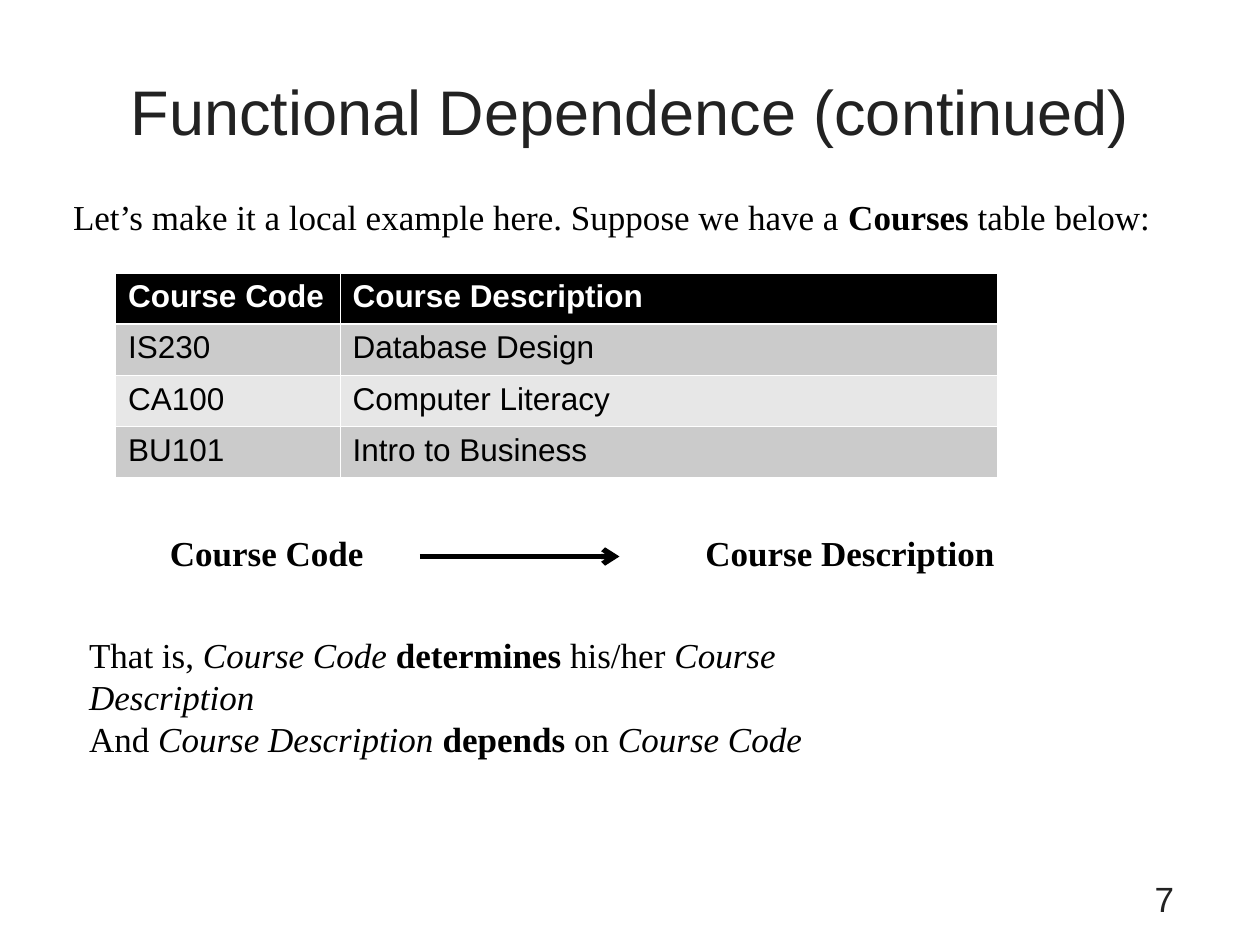
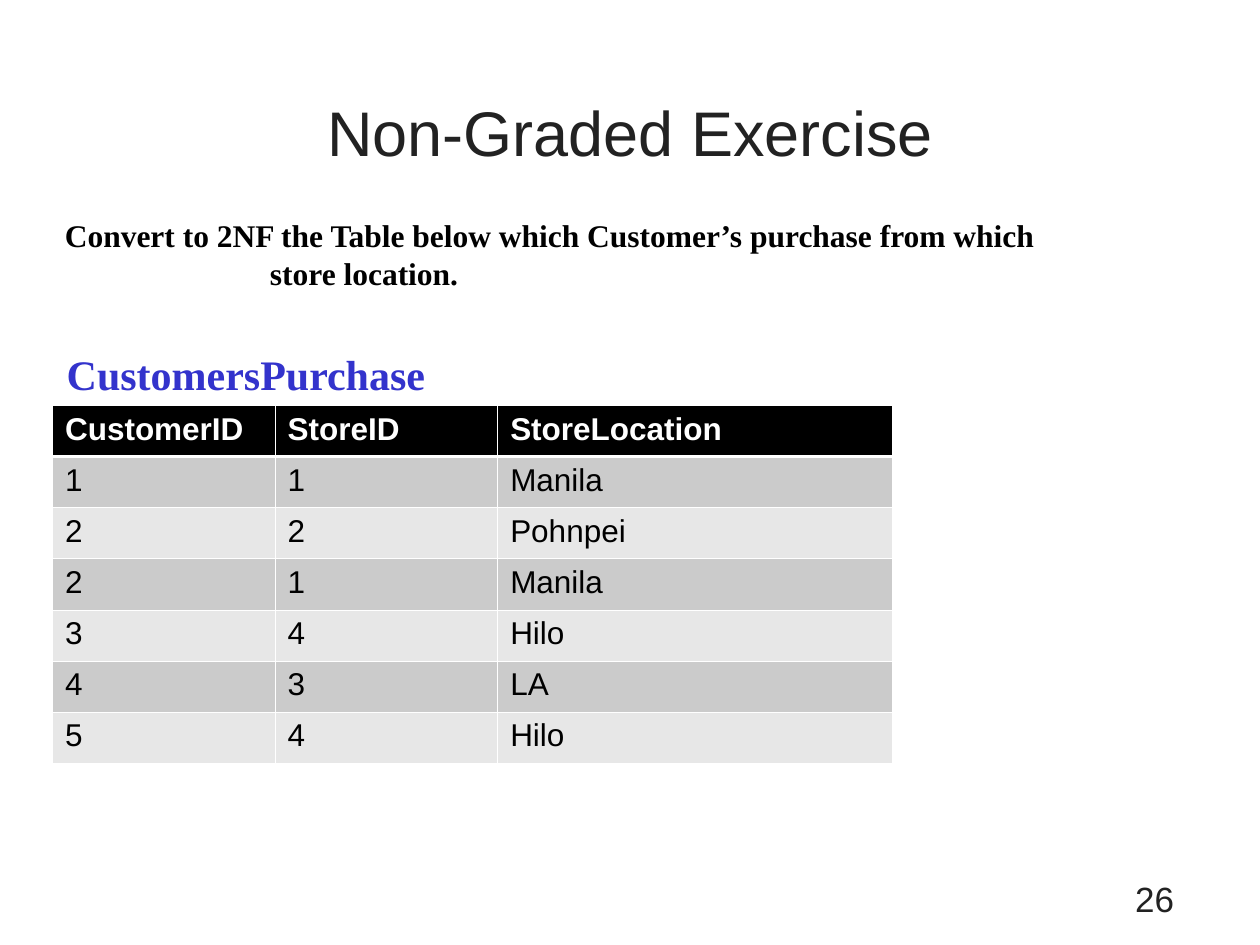
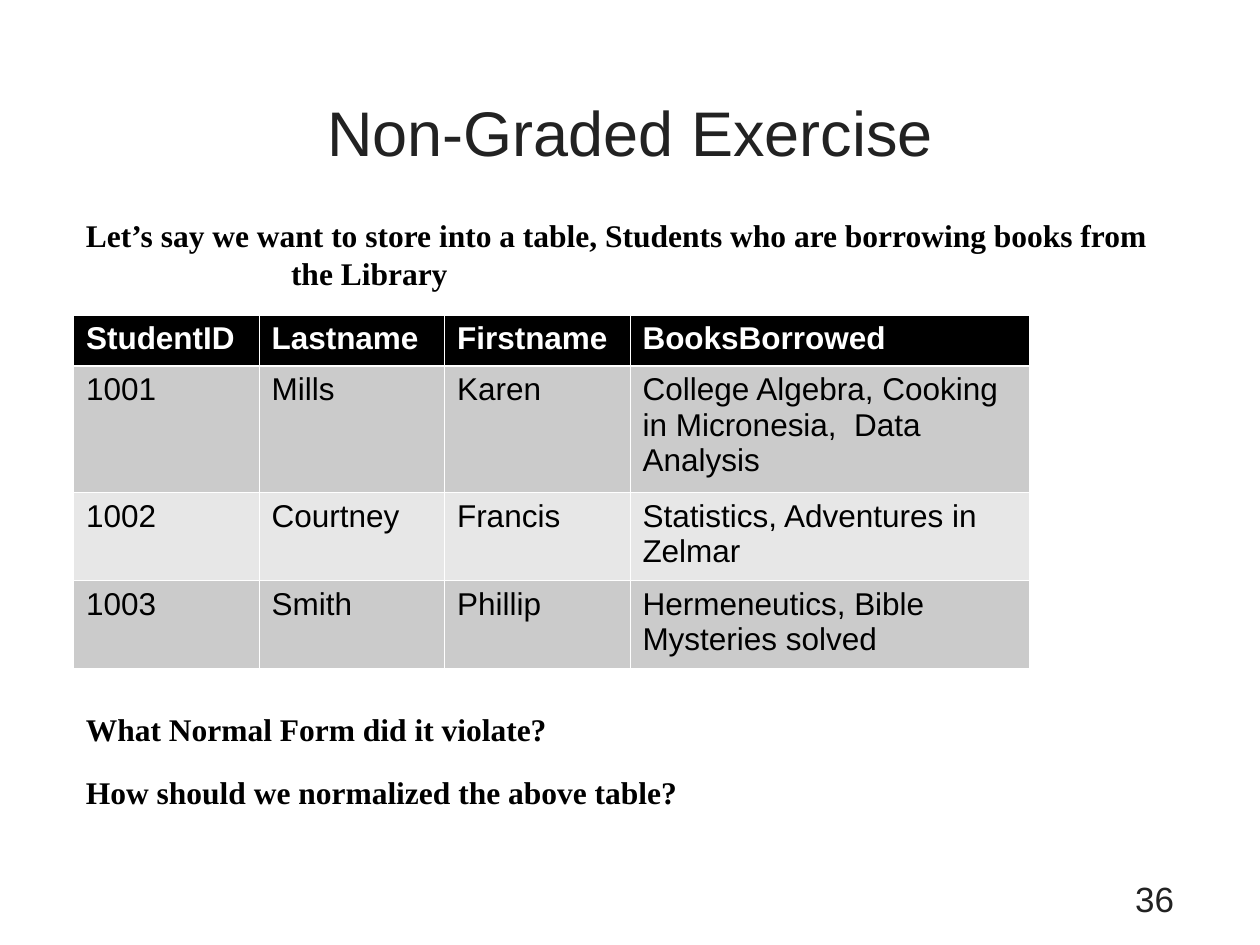
from collections import namedtuple
from dataclasses import dataclass

from lxml.etree import SubElement
from pptx import Presentation
from pptx.dml.color import RGBColor
from pptx.enum.shapes import MSO_CONNECTOR
from pptx.enum.text import MSO_ANCHOR, MSO_AUTO_SIZE, PP_ALIGN
from pptx.oxml.ns import qn
from pptx.util import Pt

Box = namedtuple("Box", "x y w h")


@dataclass(frozen=True)
class Theme:
    """Colours, fonts and type sizes of the deck."""

    sans: str = "Arial"
    serif: str = "Times New Roman"
    heading: str = "222222"
    ink: str = "000000"
    paper: str = "FFFFFF"
    accent: str = "3333CC"
    bands: tuple = ("CBCBCB", "E7E7E7")
    title: float = 36
    caption: float = 24
    text: float = 20
    small: float = 18
    hang: float = 117.2
    space_before: float = 11.2
    row: float = 29.2
    thin: float = 0.45
    thick: float = 1.47


T = Theme()


def lengths(box):
    """Turn a box in points into the four lengths of a shape."""
    return [Pt(v) for v in box]


def style_font(font, face, size, color, bold=False, italic=False):
    """Format one font."""
    font.name, font.size = face, Pt(size)
    font.bold, font.italic = bold, italic
    font.color.rgb = RGBColor.from_string(color)


def add_text(s, box, runs, size=T.text, color=T.ink, face=T.serif,
             align=PP_ALIGN.LEFT, wrap=True, hang=False):
    """Add a one-paragraph text box from (text, style letters) pairs."""
    tf = s.shapes.add_textbox(*lengths(box)).text_frame
    tf.word_wrap = wrap
    tf.auto_size = MSO_AUTO_SIZE.SHAPE_TO_FIT_TEXT
    p = tf.paragraphs[0]
    p.alignment = align
    if hang:
        p.space_before = Pt(T.space_before)
        pPr = p._p.get_or_add_pPr()
        pPr.set("marL", str(Pt(T.hang)))
        pPr.set("indent", str(-Pt(T.hang)))
    for text, marks in runs:
        r = p.add_run()
        r.text = text
        style_font(r.font, face, size, color, "b" in marks, "i" in marks)


def add_prompt(s, box, text):
    """Add a bold exercise line with a hanging indent."""
    add_text(s, box, [(text, "b")], T.small, hang=True)


def add_slide(prs, title, top, number):
    """Add a slide with its title and page number."""
    s = prs.slides.add_slide(prs.slide_layouts[5])
    sp = s.shapes.title
    sp.left, sp.top, sp.width, sp.height = lengths(Box(42, top, 636, 90))
    tf = sp.text_frame
    tf.text = title
    tf.auto_size = MSO_AUTO_SIZE.NONE
    tf.vertical_anchor = MSO_ANCHOR.MIDDLE
    p = tf.paragraphs[0]
    p.alignment = PP_ALIGN.CENTER
    style_font(p.runs[0].font, T.sans, T.title, T.heading)
    add_text(s, Box(516, 498, 162, 30), [(str(number), "")],
             color=T.heading, face=T.sans, align=PP_ALIGN.RIGHT)
    return s


def add_border(cell, side, width):
    """Draw one white edge of a cell."""
    ln = SubElement(cell._tc.get_or_add_tcPr(), qn("a:ln" + side), w=str(Pt(width)))
    fill = SubElement(ln, qn("a:solidFill"))
    SubElement(fill, qn("a:srgbClr"), val=T.paper)


def style_cell(cell, text, row):
    """Fill, border and write one cell by its row."""
    heavy = {(0, "B"), (1, "T")}
    for side in "LRTB":
        add_border(cell, side, T.thick if (row, side) in heavy else T.thin)
    header = row == 0
    fill = T.ink if header else T.bands[(row - 1) % 2]
    cell.fill.solid()
    cell.fill.fore_color.rgb = RGBColor.from_string(fill)
    cell.text = text
    style_font(cell.text_frame.paragraphs[0].runs[0].font, T.sans, T.small,
               T.paper if header else T.ink, bold=header)


def add_grid(s, x, y, widths, rows, heights=None):
    """Add a banded table with a black header row."""
    heights = heights or [T.row] * len(rows)
    box = Box(x, y, sum(widths), sum(heights))
    table = s.shapes.add_table(len(rows), len(widths), *lengths(box)).table
    for column, width in zip(table.columns, widths):
        column.width = Pt(width)
    for i, (values, height) in enumerate(zip(rows, heights)):
        table.rows[i].height = Pt(height)
        for j, text in enumerate(values):
            style_cell(table.cell(i, j), text, i)


def add_arrow(s, x, y, length):
    """Draw a horizontal arrow to the right."""
    ends = lengths((x, y, x + length, y))
    line = s.shapes.add_connector(MSO_CONNECTOR.STRAIGHT, *ends)
    line.line.width = Pt(3)
    line.line.color.rgb = RGBColor.from_string(T.ink)
    SubElement(line.line._get_or_add_ln(), qn("a:tailEnd"), type="arrow")
    SubElement(line._element.spPr, qn("a:effectLst"))


def add_dependency(s, box, source, target):
    """Show that the source column determines the target column."""
    add_text(s, Box(box.x, box.y, 192, box.h), [(source, "b")])
    add_arrow(s, box.x + 150, box.y + 18, 114)
    add_text(s, Box(box.x + 306, box.y, box.w - 306, box.h), [(target, "b")])


def courses_slide(prs):
    """Build the functional dependence example."""
    s = add_slide(prs, "Functional Dependence (continued)", 18, 7)
    code, description = "Course Code", "Course Description"
    add_text(s, Box(34.7, 108, 631, 31.5), [
        ("Let’s make it a local example here. Suppose we have a ", ""),
        ("Courses", "b"), (" table below:", "")], wrap=False)
    add_grid(s, 66, 156, [128.3, 375.7], [
        (code, description),
        ("IS230", "Database Design"),
        ("CA100", "Computer Literacy"),
        ("BU101", "Intro to Business")])
    add_dependency(s, Box(90, 300, 552, 31.5), code, description)
    add_text(s, Box(43.8, 358.5, 506, 31.5), [
        ("That is, ", ""), (code + " ", "i"), ("determines", "b"),
        (" his/her ", ""), (description, "i")], wrap=False)
    add_text(s, Box(43.8, 406.5, 422, 31.5), [
        ("And ", ""), (description + " ", "i"), ("depends", "b"),
        (" on ", ""), (code, "i")], wrap=False)


def purchases_slide(prs):
    """Build the exercise on second normal form."""
    s = add_slide(prs, "Non-Graded Exercise", 30, 26)
    add_prompt(s, Box(30, 120, 606, 50.4),
               "Convert to 2NF the Table below which Customer’s purchase "
               "from which store location.")
    add_text(s, Box(31, 195.7, 219.6, 36), [("CustomersPurchase", "b")],
             T.caption, T.accent, wrap=False)
    add_grid(s, 30, 231.7, [127.2, 127.2, 225.6], [
        ("CustomerID", "StoreID", "StoreLocation"),
        ("1", "1", "Manila"),
        ("2", "2", "Pohnpei"),
        ("2", "1", "Manila"),
        ("3", "4", "Hilo"),
        ("4", "3", "LA"),
        ("5", "4", "Hilo")])


def library_slide(prs):
    """Build the exercise on borrowed books."""
    s = add_slide(prs, "Non-Graded Exercise", 30, 36)
    add_prompt(s, Box(42, 120, 636, 50.4),
               "Let’s say we want to store into a table, Students who are "
               "borrowing books from the Library")
    add_grid(s, 42, 180, [106, 106, 106, 228], [
        ("StudentID", "Lastname", "Firstname", "BooksBorrowed"),
        ("1001", "Mills", "Karen",
         "College Algebra, Cooking in Micronesia,  Data Analysis"),
        ("1002", "Courtney", "Francis", "Statistics, Adventures in Zelmar"),
        ("1003", "Smith", "Phillip", "Hermeneutics, Bible Mysteries solved"),
    ], [T.row, 72, 50.4, 50.4])
    questions = ("What Normal Form did it violate?",
                 "How should we normalized the above table?")
    for i, question in enumerate(questions):
        add_prompt(s, Box(42, 402 + 36 * i, 606, 29), question)


def main():
    """Build the deck and save it."""
    prs = Presentation()
    prs.slide_width, prs.slide_height = Pt(720), Pt(540)
    courses_slide(prs)
    purchases_slide(prs)
    library_slide(prs)
    prs.save("out.pptx")


main()
